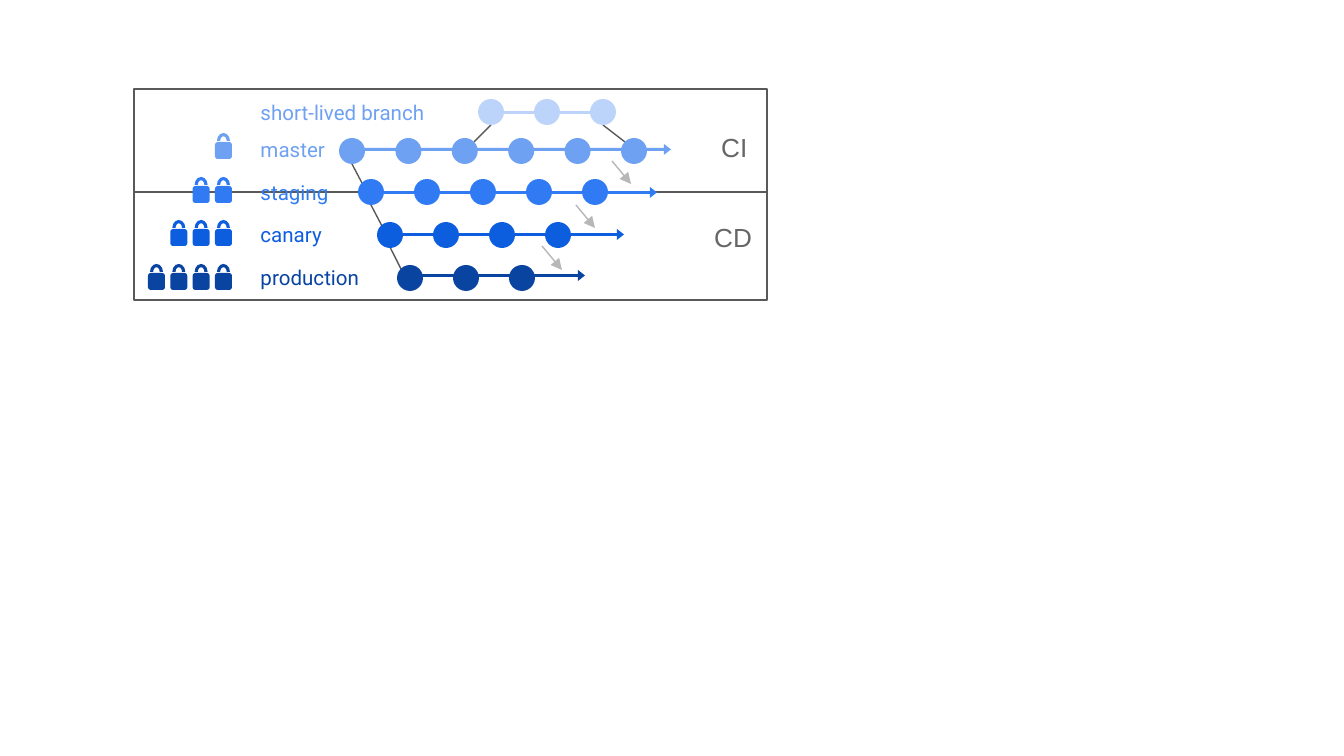
from pptx import Presentation, util as u
from pptx.dml.color import RGBColor
from pptx.enum import shapes, text
from pptx.oxml.ns import qn
from lxml import etree

PX = 914400 / 134.4
GREY = "595959"
KIND = shapes.MSO_SHAPE


def add_part(kind, left, top, width, height, fill=None, line=None, adjust=()):
    """Add a preset shape measured in px, without shadow."""
    part = page.shapes.add_shape(kind, *(round(n * PX) for n in (left, top, width, height)))
    part.shadow.inherit = False
    for i, value in enumerate(adjust):
        part.adjustments[i] = value
    if fill:
        part.fill.solid()
        part.fill.fore_color.rgb = RGBColor.from_string(fill)
    else:
        part.fill.background()
    if line:
        part.line.color.rgb = RGBColor.from_string(line)
        part.line.width = u.Pt(0.75)
    else:
        part.line.fill.background()
    return part


def write(box, words, size, font, color, anchor):
    frame = box.text_frame
    frame.word_wrap = True
    frame.vertical_anchor = anchor
    frame.margin_left = frame.margin_right = u.Inches(0.1)
    frame.margin_top = frame.margin_bottom = u.Inches(0.1)
    para = frame.paragraphs[0]
    para.alignment = text.PP_ALIGN.LEFT
    span = para.add_run()
    span.text = words
    span.font.size = u.Pt(size)
    span.font.name = font
    span.font.color.rgb = RGBColor.from_string(color)


deck = Presentation()
deck.slide_width = round(1344 * PX)
deck.slide_height = round(756 * PX)
page = deck.slides.add_slide(deck.slide_layouts[6])

# Stage panels
for top, height in ((89, 103), (192, 108)):
    add_part(KIND.RECTANGLE, 134, top, 633, height, line=GREY)

# Branch and promotion links: start, end, colour, arrowhead
links = [
    (352, 164, 362, 183, GREY, False),
    (371, 205, 382, 226, GREY, False),
    (390, 247, 401, 269, GREY, False),
    (491, 125, 474, 142, GREY, False),
    (603, 125, 625, 142, GREY, False),
    (612, 161, 631, 184, "B7B7B7", True),
    (576, 205, 595, 228, "B7B7B7", True),
    (542, 246, 562, 270, "B7B7B7", True),
]
for *ends, color, has_head in links:
    link = page.shapes.add_connector(shapes.MSO_CONNECTOR.STRAIGHT, *(round(n * PX) for n in ends))
    link.line.color.rgb = RGBColor.from_string(color)
    link.line.width = u.Pt(0.75)
    if has_head:
        etree.SubElement(link.line._get_or_add_ln(), qn("a:tailEnd"), type="triangle")
    etree.SubElement(link._element.spPr, qn("a:effectLst"))

# Branches: name, text colour, fill, label (top, width), arrow (left, top, width),
# commits (first left, last left, top, count), locks (top, count)
branches = [
    ("short-lived branch", "6FA1F2", "BCD4FA", (89, 208), (493, 107, 112), (478, 590, 99, 3), (0, 0)),
    ("master", "6FA1F2", "6FA1F2", (126, 103), (364, 144, 307), (339, 621, 138, 6), (142, 1)),
    ("staging", "307BF3", "307BF3", (169, 120), (383, 187, 274), (358, 582, 179, 5), (186, 2)),
    ("canary", "0D5DDF", "0D5DDF", (211, 120), (403, 229, 221), (377, 545, 222, 4), (229, 3)),
    ("production", "0944A1", "0944A1", (254, 159), (422, 270, 163), (397, 509, 265, 3), (273, 4)),
]
for name, ink, fill, label, arrow, commits, locks in branches:
    label_top, label_width = label
    box = add_part(KIND.ROUNDED_RECTANGLE, 245, label_top, label_width, 47)
    write(box, name, 11, "Roboto", ink, text.MSO_ANCHOR.MIDDLE)

    add_part(KIND.RIGHT_ARROW, *arrow, 11, fill, adjust=(0.255, 0.643))

    first, last, commit_top, count = commits
    for i in range(count):
        left = first + (last - first) * i / (count - 1)
        add_part(KIND.OVAL, left, commit_top, 26, 26, fill)

    lock_top, lock_count = locks
    for i in range(lock_count):
        left = 215 - 67 * i / 3
        add_part(KIND.ROUNDED_RECTANGLE, left, lock_top, 17, 17, fill)
        add_part(KIND.BLOCK_ARC, left + 2, lock_top - 9, 13, 16, fill, adjust=(108, 0, 0.25))

# Stage names
for name, left, top, width in (("CI", 708, 118, 59), ("CD", 701, 208, 66)):
    box = page.shapes.add_textbox(*(round(n * PX) for n in (left, top, width, 70)))
    write(box, name, 14, "Arial", "666666", text.MSO_ANCHOR.TOP)

deck.save("out.pptx")
